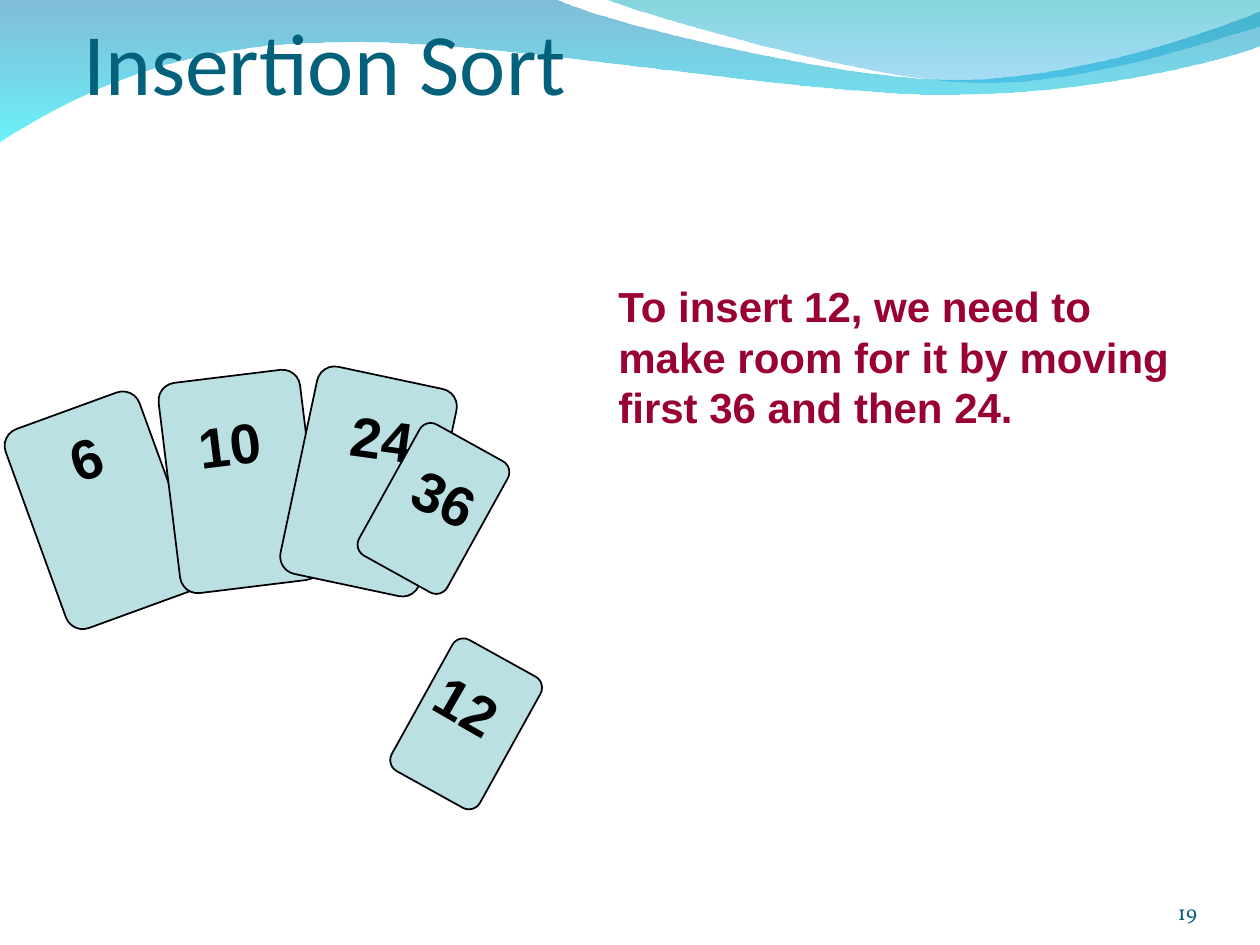
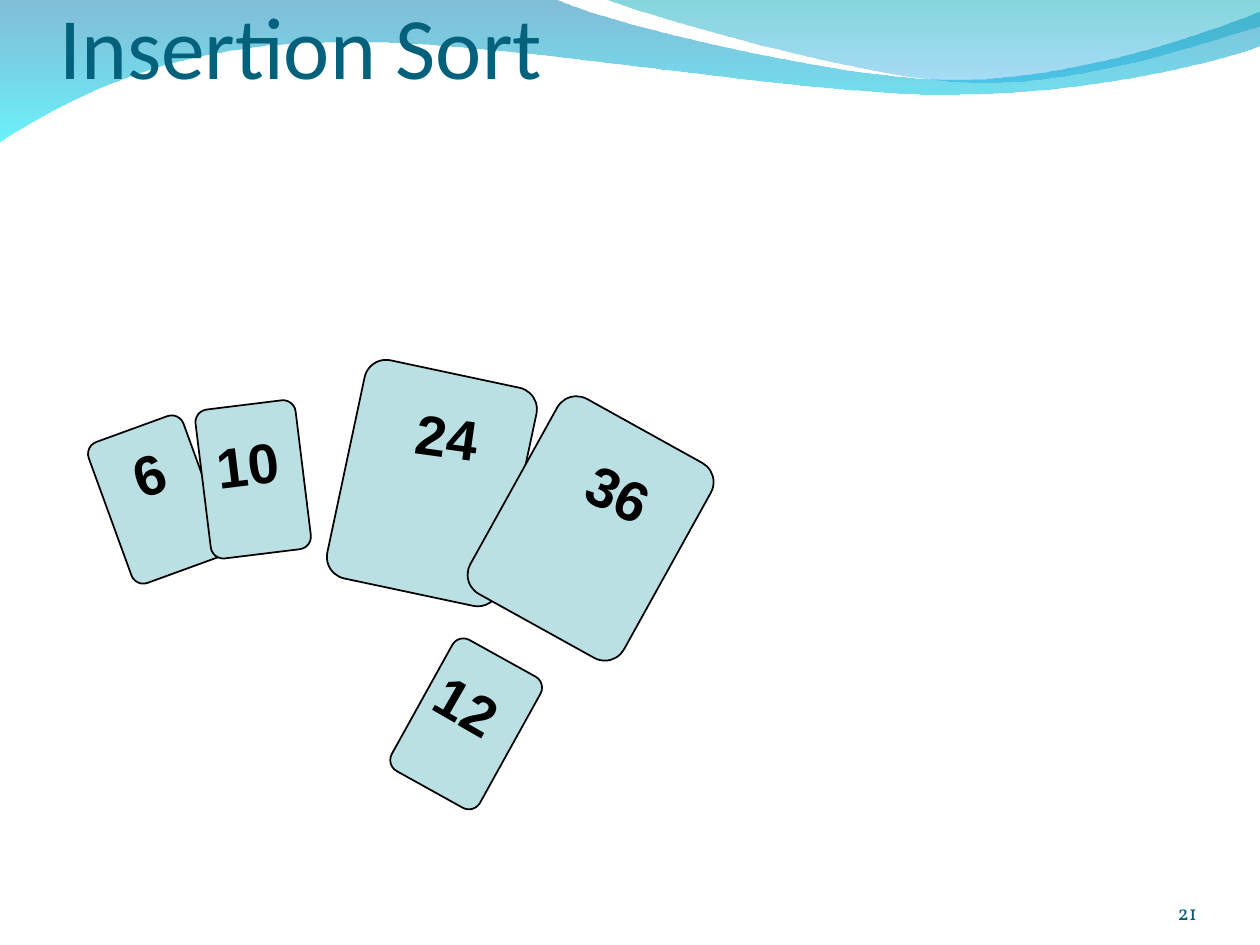
from dataclasses import dataclass

from lxml import etree
from pptx import Presentation
from pptx.dml.color import RGBColor
from pptx.enum.shapes import MSO_SHAPE
from pptx.enum.text import MSO_ANCHOR, MSO_AUTO_SIZE, PP_ALIGN
from pptx.oxml.ns import qn
from pptx.util import Pt

ROUNDED = MSO_SHAPE.ROUNDED_RECTANGLE
TOP, BOTTOM = MSO_ANCHOR.TOP, MSO_ANCHOR.BOTTOM
LEFT, RIGHT = PP_ALIGN.LEFT, PP_ALIGN.RIGHT
FIXED, GROW = MSO_AUTO_SIZE.NONE, MSO_AUTO_SIZE.SHAPE_TO_FIT_TEXT


@dataclass(frozen=True)
class Theme:
    title: RGBColor = RGBColor(0x04, 0x61, 0x7B)
    number: RGBColor = RGBColor(0x04, 0x5C, 0x75)
    note: RGBColor = RGBColor(0x99, 0x00, 0x33)
    card: RGBColor = RGBColor(0xBB, 0xE0, 0xE3)
    ink: RGBColor = RGBColor(0x00, 0x00, 0x00)
    title_font: str = "Calibri"
    body_font: str = "Arial"
    number_font: str = "Vollkorn"
    title_size: int = 50
    card_size: int = 32
    note_size: int = 24
    number_size: int = 12


THEME = Theme()

# Waves across the top: start, then end points of lines or the three points of a curve;
# gradient stops as colour and opacity in percent
WAVES = [
    ((0, -0.7),
     [((316.8, -0.7),),
      ((342.7, 12.2), (478.1, 45.4), (545.8, 45.4)),
      ((614.2, 45.4), (689.8, 18.7), (720, 6.5)),
      ((720.7, 25.9),),
      ((707.8, 31.7), (626.4, 54.7), (537.1, 54)),
      ((447.8, 54), (275, 20.2), (185, 24.5)),
      ((92.9, 25.2), (33.1, 59.8), (-0.7, 81.4))],
     [("0079AF", 49), ("00EBF8", 59)]),
    ((344.9, -0.7),
     [((366.5, 7.9), (491, 44.6), (553.7, 46.8)),
      ((616.3, 49.7), (691.9, 23), (720, 15.1)),
      ((720, 0),)],
     [("00ADB6", 49), ("009BE5", 34)]),
]
CURVE_STEPS = 24

# Cards: sizes, and the tilt of each card and of its number
SMALL, MEDIUM, LARGE = (57.6, 85.7), (81.4, 121), (100.4, 127.4)
TILTS = {"6": (-20, -19), "10": (-7, -7), "24": (12, 8), "36": (29, 25), "12": (29, 30)}
DIGIT_WIDTH, LABEL_INSETS, LABEL_HEIGHT = 17.8, 14.4, 45.4
NEW_CARD = ("12", SMALL, (237.6, 370.8), (242.6, 380.2))

# Per slide: page number, title frame, note, cards (number, size, card corner, label corner)
SLIDES = [
    ("19", (40.3, 48.2, 498.2, 20.2),
     "To insert 12, we need to make room for it by moving first 36 and then 24.",
     [("6", MEDIUM, (18, 231.1), (33.1, 238.3)),
      ("10", MEDIUM, (96.5, 214.6), (106.6, 230.4)),
      ("24", MEDIUM, (169.9, 214.6), (193.7, 227.5)),
      NEW_CARD,
      ("36", SMALL, (218.9, 247.7), (229.7, 261.4))]),
    ("21", (26.6, 18, 511.2, 41), None,
     [("6", SMALL, (61.2, 242.6), (69.1, 247.7)),
      ("10", SMALL, (115.9, 231.1), (116.6, 241.9)),
      ("24", LARGE, (196.6, 212.4), (231.1, 226.1)),
      ("36", LARGE, (287.3, 238.3), (329, 258.5)),
      NEW_CARD]),
]


def write(box, text, font, size, color, bold=False, align=LEFT, anchor=TOP, wrap=True, fit=FIXED):
    frame = box.text_frame
    frame.text = text
    frame.word_wrap = wrap
    frame.auto_size = fit
    frame.vertical_anchor = anchor
    para = frame.paragraphs[0]
    para.alignment = align
    span = para.runs[0]
    span.font.name = font
    span.font.size = Pt(size)
    span.font.bold = bold
    span.font.color.rgb = color


def curve_points(start, controls):
    points = []
    for step in range(1, CURVE_STEPS + 1):
        t = step / CURVE_STEPS
        weights = ((1 - t) ** 3, 3 * t * (1 - t) ** 2, 3 * t ** 2 * (1 - t), t ** 3)
        corners = (start, *controls)
        points.append(tuple(Pt(sum(w * c[axis] for w, c in zip(weights, corners)))
                            for axis in (0, 1)))
    return points


deck = Presentation()
deck.slide_width, deck.slide_height = Pt(720), Pt(540)
layout = deck.slide_layouts.get_by_name("Title Only")
pages = [deck.slides.add_slide(layout) for _ in SLIDES]

# Waves are built once and placed behind everything on the shared layout
for index, (start, segments, stops) in enumerate(WAVES):
    builder = pages[0].shapes.build_freeform(Pt(start[0]), Pt(start[1]))
    here = start
    for segment in segments:
        if len(segment) == 1:
            points = [tuple(Pt(value) for value in segment[0])]
        else:
            points = curve_points(here, segment)
        builder.add_line_segments(points, close=False)
        here = segment[-1]
    builder.add_line_segments([(Pt(start[0]), Pt(start[1]))], close=True)
    wave = builder.convert_to_shape()
    wave.name = f"Wave {index + 1}"
    wave.shadow.inherit = False
    wave.line.fill.background()
    wave.fill.gradient()
    wave.fill.gradient_angle = 270
    for stop, (color, _) in zip(wave.fill.gradient_stops, stops):
        stop.color.rgb = RGBColor.from_string(color)
    for color, (_, opacity) in zip(wave.element.iter(qn("a:srgbClr")), stops):
        etree.SubElement(color, qn("a:alpha")).set("val", str(opacity * 1000))
    next(wave.element.iter(qn("p:cNvPr"))).set("id", str(100 + index))
    layout.shapes.element.insert(2 + index, wave.element)

for page, (page_number, title_frame, note, cards) in zip(pages, SLIDES):
    # Title
    title = page.shapes.title
    title.left, title.top, title.width, title.height = (Pt(value) for value in title_frame)
    write(title, "Insertion Sort", THEME.title_font, THEME.title_size, THEME.title, anchor=BOTTOM)

    # Page number
    box = page.shapes.add_textbox(Pt(624.2), Pt(500.4), Pt(59.8), Pt(28.1))
    write(box, page_number, THEME.number_font, THEME.number_size, THEME.number,
          align=RIGHT, anchor=BOTTOM)
    frame = box.text_frame
    frame.margin_left = frame.margin_right = frame.margin_top = frame.margin_bottom = 0

    # Note beside the cards
    if note:
        box = page.shapes.add_textbox(Pt(346.3), Pt(157), Pt(335.5), Pt(93.6))
        write(box, note, THEME.body_font, THEME.note_size, THEME.note, bold=True, fit=GROW)

    # Cards with their numbers
    for number, (width, height), (left, top), (label_left, label_top) in cards:
        card_tilt, label_tilt = TILTS[number]
        card = page.shapes.add_shape(ROUNDED, Pt(left), Pt(top), Pt(width), Pt(height))
        card.adjustments[0] = 0.125
        card.rotation = card_tilt
        card.shadow.inherit = False
        card.fill.solid()
        card.fill.fore_color.rgb = THEME.card
        card.line.color.rgb = THEME.ink
        card.line.width = Pt(1)

        label_width = LABEL_INSETS + DIGIT_WIDTH * len(number)
        label = page.shapes.add_textbox(Pt(label_left), Pt(label_top),
                                        Pt(label_width), Pt(LABEL_HEIGHT))
        label.rotation = label_tilt
        write(label, number, THEME.body_font, THEME.card_size, THEME.ink,
              bold=True, wrap=False, fit=GROW)

deck.save("out.pptx")
